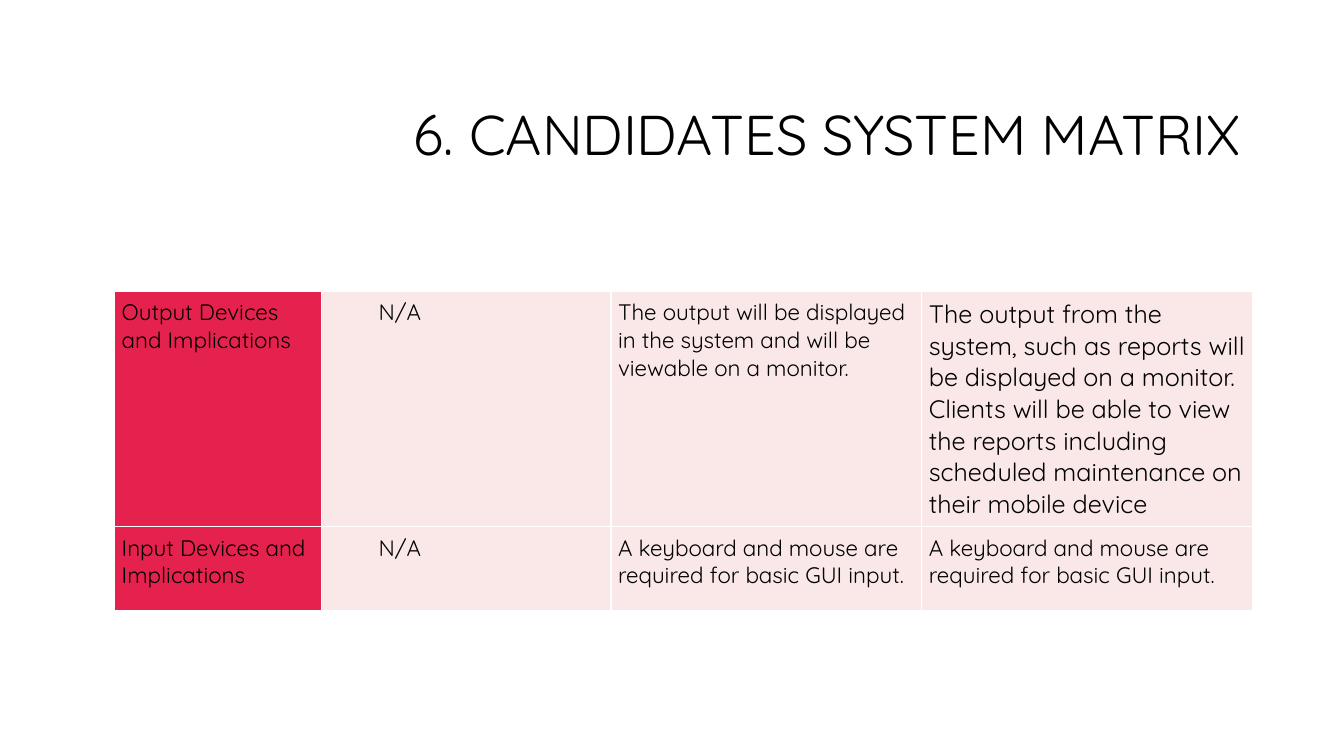
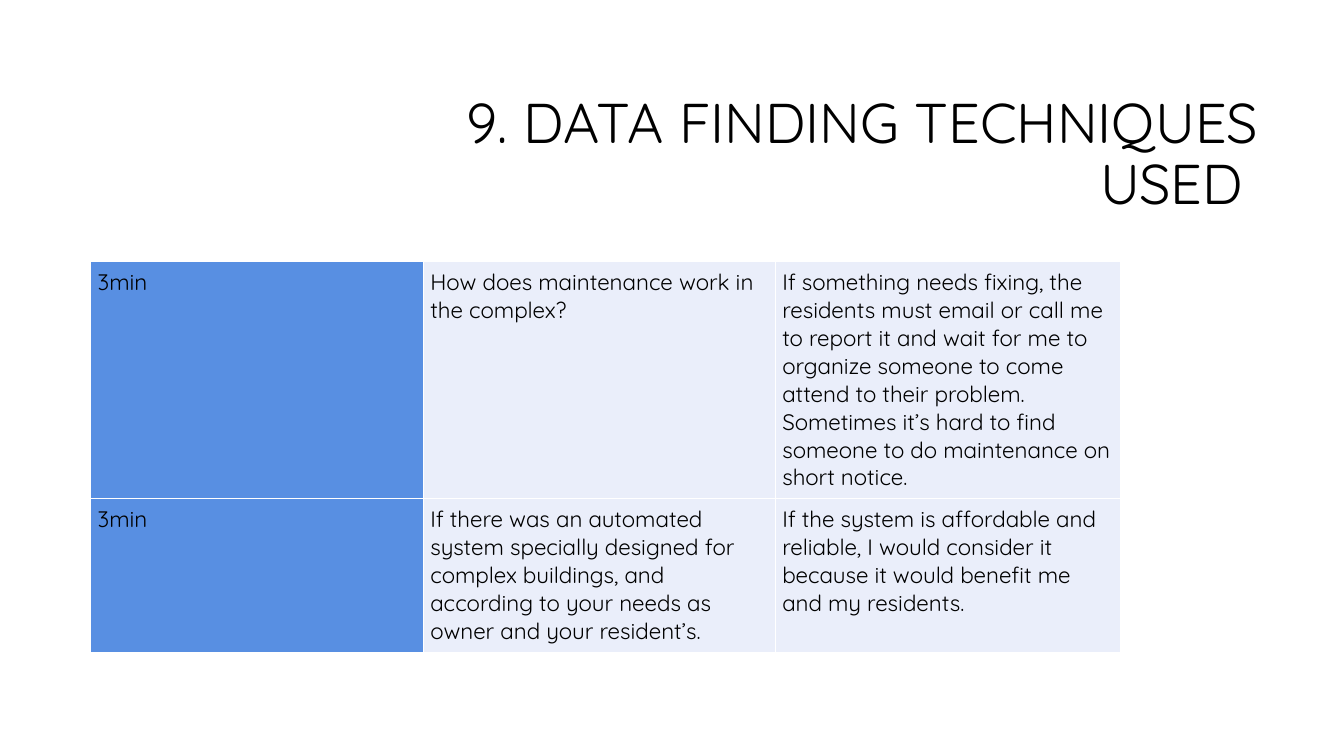
from pptx import Presentation
from pptx.dml.color import RGBColor
from pptx.enum.text import MSO_ANCHOR as Anchor, PP_ALIGN as Align
from pptx.oxml import parse_xml
from pptx.oxml.ns import nsdecls
from pptx.util import Emu, Inches, Pt

COLUMNS, ROWS = 160, 90  # grid units across and down the slide
BLACK, WHITE = "000000", "FFFFFF"
RED, ROSE = "E5224E", "FAE8E9"
BLUE, MIST = "588FE2", "EAEEFA"


def color(hex_value):
    return RGBColor.from_string(hex_value)


def style(target, formats):
    for name, value in formats.items():
        setattr(target, name, value)


class Deck:
    FONT = "Quicksand"
    TITLE_SIZE, CELL_SIZE = 40, 16
    CELL_INSET = Inches(0.07)

    def __init__(self):
        self.prs = Presentation()
        style(self.prs, {"slide_width": Inches(13.33), "slide_height": Inches(7.5)})
        self.slide = None

    def across(self, columns):
        return Emu(round(self.prs.slide_width * columns / COLUMNS))

    def down(self, rows):
        return Emu(round(self.prs.slide_height * rows / ROWS))

    def put_text(self, frame, text, size, **paragraph_formats):
        paragraph = frame.paragraphs[0]
        style(paragraph, paragraph_formats)
        run = paragraph.add_run()
        run.text = text
        style(run.font, {"name": self.FONT, "size": Pt(size), "bold": False})
        run.font.color.rgb = color(BLACK)
        return paragraph

    def title(self, text, left, top, width, height=16.9):
        """Start a slide with a right-aligned title."""
        self.slide = self.prs.slides.add_slide(self.prs.slide_layouts[5])
        heading = self.slide.shapes.title
        style(heading, {"left": self.across(left), "top": self.down(top),
                        "width": self.across(width), "height": self.down(height)})
        style(heading.text_frame, {"word_wrap": True, "vertical_anchor": Anchor.MIDDLE})
        self.put_text(heading.text_frame, text, self.TITLE_SIZE,
                      alignment=Align.RIGHT, line_spacing=0.9)

    def border(self, cell):
        for side in ("lnL", "lnR", "lnT", "lnB"):
            cell._tc.get_or_add_tcPr().append(parse_xml(
                f'<a:{side} {nsdecls("a")} w="12700"><a:solidFill>'
                f'<a:srgbClr val="{WHITE}"/></a:solidFill></a:{side}>'))

    def matrix(self, left, top, widths, heights, entries, label_fill, body_fill,
               space_after=0, indents=None, sizes=None):
        """Add a table whose first column holds labels.

        indents maps a column to inches; sizes maps a (row, column) to points.
        """
        indents, sizes = indents or {}, sizes or {}
        table = self.slide.shapes.add_table(
            len(heights), len(widths), self.across(left), self.down(top),
            self.across(sum(widths)), self.down(sum(heights))).table
        style(table, {"first_row": False, "horz_banding": False})
        for column, width in zip(table.columns, widths):
            column.width = self.across(width)
        for row, height in zip(table.rows, heights):
            row.height = self.down(height)
        margins = {f"margin_{side}": self.CELL_INSET
                   for side in ("left", "right", "top", "bottom")}
        for r, texts in enumerate(entries):
            for c, text in enumerate(texts):
                cell = table.cell(r, c)
                style(cell, margins)
                self.border(cell)
                cell.fill.solid()
                cell.fill.fore_color.rgb = color(body_fill if c else label_fill)
                paragraph = self.put_text(cell.text_frame, text,
                                          sizes.get((r, c), self.CELL_SIZE),
                                          space_after=Pt(space_after))
                if c in indents:
                    paragraph._p.get_or_add_pPr().set("marL", str(Inches(indents[c])))


def main():
    deck = Deck()

    # Candidate systems compared by device
    basic_input = "A keyboard and mouse are required for basic GUI input."
    deck.title("6. CANDIDATES SYSTEM MATRIX", 39.6, 7.9, 109.3)
    deck.matrix(
        13.65, 34.7, [24.6, 34.5, 37, 39.4], [27.8, 10],
        [["Output Devices and Implications", "N/A",
          "The output will be displayed in the system and will be viewable on a monitor.",
          "The output from the system, such as reports will be displayed on a monitor. "
          "Clients will be able to view the reports including scheduled maintenance on "
          "their mobile device"],
         ["Input Devices and Implications", "N/A", basic_input, basic_input]],
        RED, ROSE, space_after=8, indents={1: 0.5}, sizes={(0, 3): 18})

    # Interview questions and answers
    deck.title("9. DATA FINDING TECHNIQUES USED ", 38, 10.1, 113)
    deck.matrix(
        10.8, 31.1, [39.6, 41.9, 41.1], [28.1, 18.2],
        [["3min", "How does maintenance work in the complex?",
          "If something needs fixing, the residents must email or call me to report it "
          "and wait for me to organize someone to come attend to their problem. "
          "Sometimes it’s hard to find someone to do maintenance on short notice."],
         ["3min",
          "If there was an automated system specially designed for complex buildings, "
          "and according to your needs as owner and your resident’s.",
          "If the system is affordable and reliable, I would consider it because it "
          "would benefit me and my residents."]],
        BLUE, MIST)

    deck.prs.save("out.pptx")


if __name__ == "__main__":
    main()
